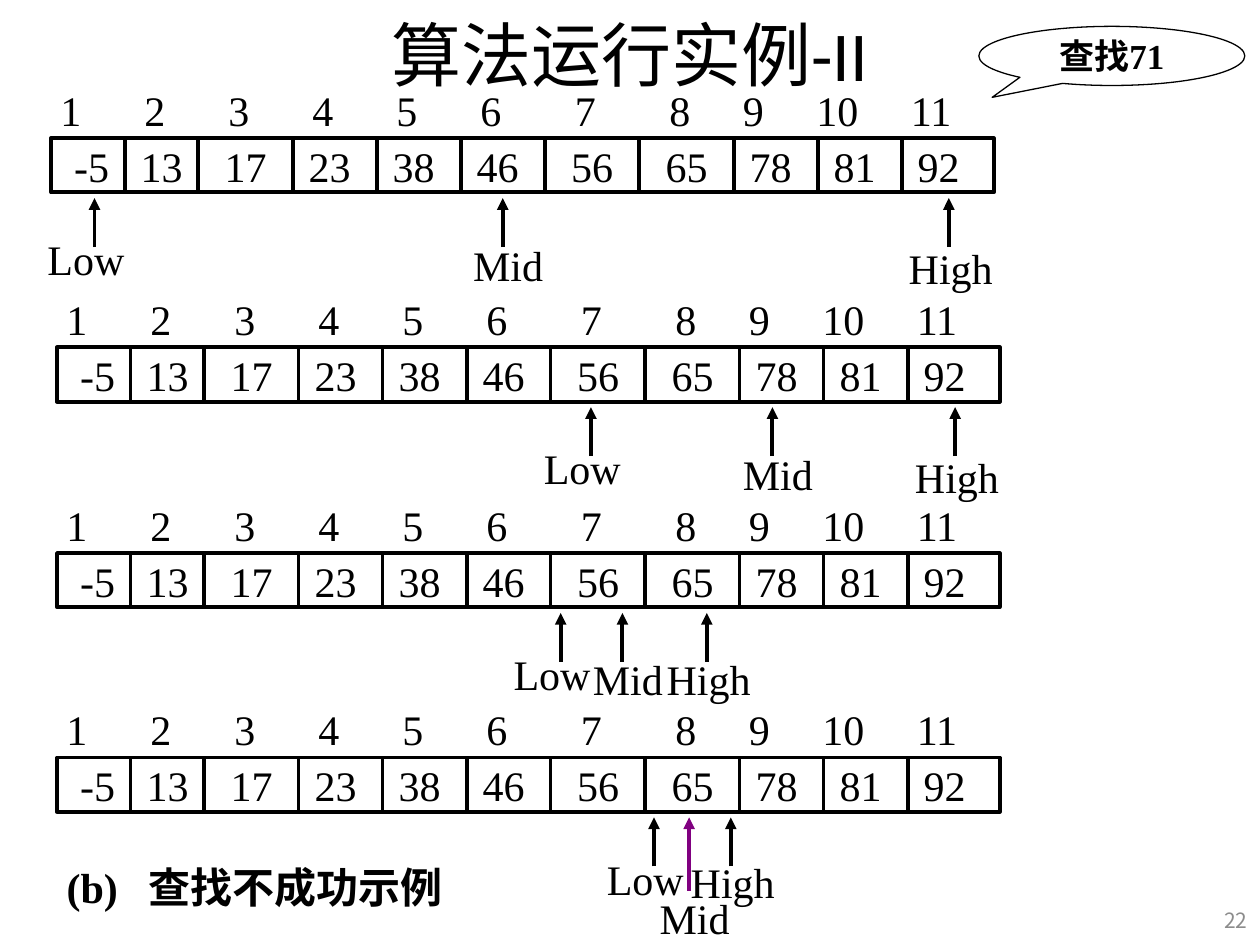
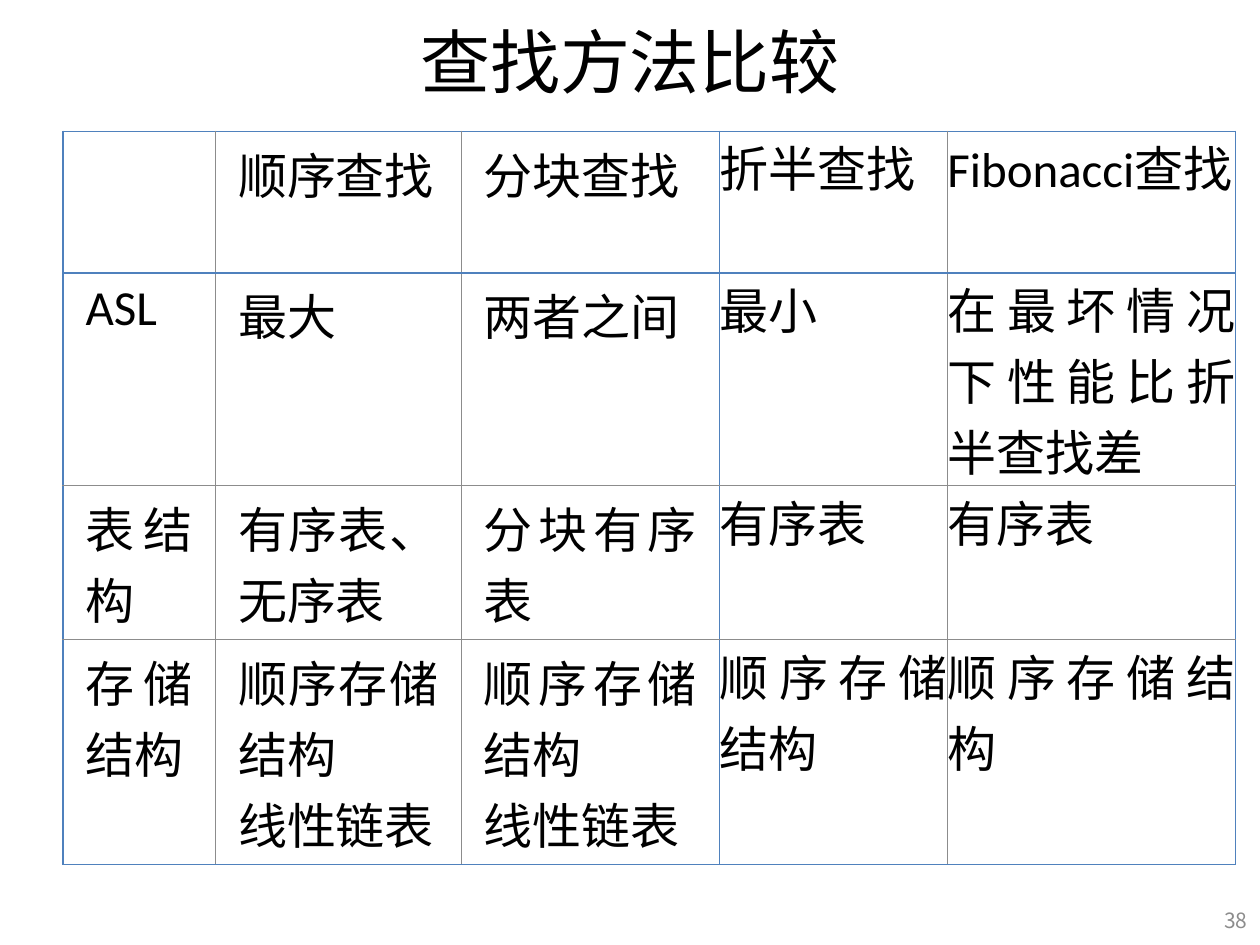
from itertools import accumulate

from lxml.etree import SubElement
from pptx import Presentation
from pptx.dml.color import RGBColor
from pptx.enum.shapes import MSO_CONNECTOR as Link, MSO_SHAPE as Shape
from pptx.enum.text import MSO_ANCHOR as Anchor, PP_ALIGN as Align
from pptx.oxml.ns import qn
from pptx.util import Pt

BLACK, GRAY, BLUE, PURPLE = "000000", "8C8C8C", "4F81BD", "800080"
SERIF, SANS, CJK = "Times New Roman", "Calibri", "Noto Sans CJK SC"
THICK = 2.25

SEARCH_TITLE = "算法运行实例-II"
SEARCH_TARGET = "查找71"
SEARCH_CAPTION = "(b)\t查找不成功示例"
KEYS = [-5, 13, 17, 23, 38, 46, 56, 65, 78, 81, 92]
KEY_TABS = [38, 86, 134, 182, 230, 284, 338, 386, 434, 482]
INDEX_TABS = [48, 96, 144, 192, 240, 294, 348, 390, 432, 486]
CELL_WIDTHS = [42, 42, 54, 48, 48, 48, 54, 54, 48, 48]
ARRAY_WIDTH, ARRAY_HEIGHT = 538.6, 31
LABEL_OFFSETS = {"Low": 34, "Mid": 24, "High": 30}
LABEL_WIDTH = 72

STEPS = [
    (29.2, 79, [("Low", 54, 55), ("Mid", 287.3, 58), ("High", 542.2, 60)]),
    (32.6, 198.5, [("Low", 337.7, 55), ("Mid", 441.4, 58), ("High", 545.8, 60)]),
    (32.6, 316.1, [("Low", 320.4, 55), ("Mid", 355.7, 57.6), ("High", 403.9, 57.6)]),
    (32.6, 432.9, [("Low", 373.7, 55), ("Mid", 393.8, 77.8, 42, PURPLE),
                   ("High", 417.6, 57)]),
]

METHODS_TITLE = "查找方法比较"
METHODS = [
    ["", "顺序查找", "分块查找", "折半查找", "Fibonacci查找"],
    ["ASL", "最大", "两者之间", "最小", "在最坏情况下性能比折半查找差"],
    ["表结构", "有序表、无序表", "分块有序表", "有序表", "有序表"],
    ["存储结构", "顺序存储结构\n线性链表", "顺序存储结构\n线性链表",
     "顺序存储结构", "顺序存储结构"],
]
METHOD_WIDTHS = [87.1, 140.4, 147.6, 130.3, 164.5]
METHOD_HEIGHTS = [81, 121.5, 88, 128.6]
PADDED_COLUMNS = 3


def color(hex_code):
    """Turn a hex string into a colour."""
    return RGBColor.from_string(hex_code)


def box(left, top, width, height):
    """Convert a rectangle in points to lengths."""
    return [Pt(value) for value in (left, top, width, height)]


def write(frame, text, size=24, font=SERIF, ink=BLACK, bold=False,
          align=Align.LEFT, tabs=()):
    """Fill a text frame, one paragraph for each line of text."""
    for number, line in enumerate(text.split("\n")):
        paragraph = frame.add_paragraph() if number else frame.paragraphs[0]
        paragraph.alignment = align
        if tabs:
            stops = SubElement(paragraph._p.get_or_add_pPr(), qn("a:tabLst"))
            for stop in tabs:
                SubElement(stops, qn("a:tab"), pos=str(Pt(stop)), algn="l")
        run = paragraph.add_run()
        run.text = line
        run.font.size, run.font.name, run.font.bold = Pt(size), font, bold
        run.font.color.rgb = color(ink)


def add_text(slide, place, text, **style):
    """Add a vertically centred text box."""
    frame = slide.shapes.add_textbox(*box(*place)).text_frame
    frame.word_wrap, frame.vertical_anchor = True, Anchor.MIDDLE
    write(frame, text, **style)


def add_outline(slide, kind, place, weight):
    """Add an unfilled black shape."""
    outline = slide.shapes.add_shape(kind, *box(*place))
    outline.shadow.inherit = False
    outline.fill.background()
    outline.line.color.rgb = color(BLACK)
    outline.line.width = Pt(weight)
    outline.text_frame.vertical_anchor = Anchor.MIDDLE
    return outline


def add_line(slide, x, start, end, ink=BLACK, arrow=False):
    """Add a vertical line, with an arrowhead at its end if asked."""
    line = slide.shapes.add_connector(Link.STRAIGHT, *box(x, start, x, end))
    line.line.color.rgb = color(ink)
    line.line.width = Pt(THICK)
    properties = line._element.spPr
    if arrow:
        SubElement(properties.find(qn("a:ln")), qn("a:tailEnd"), type="triangle")
    SubElement(properties, qn("a:effectLst"))


def add_slide(deck, title, title_height, number):
    """Add a slide with its title and page number."""
    slide = deck.slides.add_slide(deck.slide_layouts[5])
    heading = slide.shapes.title
    heading.left, heading.top, heading.width, heading.height = box(
        36, -2.2, 648, title_height)
    heading.text_frame.vertical_anchor = Anchor.MIDDLE
    write(heading.text_frame, title, size=40, font=SANS, align=Align.CENTER)
    add_text(slide, (689, 511.2, 31, 28.8), str(number), size=12,
             font=CJK, ink=GRAY, align=Align.RIGHT)
    return slide


def add_array(slide, left, top):
    """Draw the indexed array of keys."""
    array = add_outline(slide, Shape.RECTANGLE,
                        (left, top, ARRAY_WIDTH, ARRAY_HEIGHT), THICK)
    array.text_frame.margin_left = Pt(13.2)
    write(array.text_frame, "\t".join(map(str, KEYS)), tabs=KEY_TABS)
    for offset in accumulate(CELL_WIDTHS):
        add_line(slide, left + offset, top, top + ARRAY_HEIGHT)
    indices = "\t".join(str(i + 1) for i in range(len(KEYS)))
    add_text(slide, (left - 1.8, top - 30.2, ARRAY_WIDTH, 28), indices,
             tabs=INDEX_TABS)


def add_pointer(slide, top, label, x, drop, shaft=28, ink=BLACK):
    """Draw a labelled arrow that points up at the array."""
    tip = top + 34.2
    add_text(slide, (x - LABEL_OFFSETS[label], top + drop, LABEL_WIDTH, 28), label)
    add_line(slide, x, tip + shaft, tip, ink, arrow=True)


def build_search(deck):
    """Build the slide with the steps of the failed search."""
    slide = add_slide(deck, SEARCH_TITLE, 65.5, 22)
    target = add_outline(slide, Shape.OVAL_CALLOUT, (559.4, 15.1, 152, 33.8), 0.75)
    target.adjustments[0], target.adjustments[1] = -0.45, 0.7
    target.text_frame.word_wrap = False
    write(target.text_frame, SEARCH_TARGET, size=20, bold=True, align=Align.CENTER)
    for left, top, pointers in STEPS:
        add_array(slide, left, top)
        for pointer in pointers:
            add_pointer(slide, top, *pointer)
    add_text(slide, (31, 491, 280, 31), SEARCH_CAPTION, bold=True, tabs=[47])


def add_border(cell, side, strong):
    """Draw one side of a cell, blue if strong and thin gray if not."""
    line = SubElement(cell._tc.get_or_add_tcPr(), qn(f"a:ln{side}"),
                      w=str(Pt(1 if strong else 0.5)))
    fill = SubElement(line, qn("a:solidFill"))
    SubElement(fill, qn("a:srgbClr"), val=BLUE if strong else GRAY)


def build_methods(deck):
    """Build the slide that compares the search methods."""
    slide = add_slide(deck, METHODS_TITLE, 73.4, 38)
    last_row, last_column = len(METHODS) - 1, len(METHODS[0]) - 1
    table = slide.shapes.add_table(
        last_row + 1, last_column + 1,
        *box(36, 75, sum(METHOD_WIDTHS), sum(METHOD_HEIGHTS))).table
    table.first_row = table.horz_banding = False
    for column, width in zip(table.columns, METHOD_WIDTHS):
        column.width = Pt(width)
    for r, (row, height) in enumerate(zip(METHODS, METHOD_HEIGHTS)):
        table.rows[r].height = Pt(height)
        for c, text in enumerate(row):
            cell = table.cell(r, c)
            add_border(cell, "L", c in (0, PADDED_COLUMNS))
            add_border(cell, "R", c in (PADDED_COLUMNS - 1, last_column))
            add_border(cell, "T", r in (0, 1))
            add_border(cell, "B", r in (0, last_row))
            cell.fill.background()
            padded = c < PADDED_COLUMNS
            cell.margin_left = cell.margin_right = Pt(13 if padded else 0)
            cell.margin_top = cell.margin_bottom = Pt(3.6 if padded else 0)
            if text:
                write(cell.text_frame, text, size=28, font=SANS,
                      align=Align.JUSTIFY)


def main():
    """Build and save the deck."""
    deck = Presentation()
    deck.slide_width, deck.slide_height = Pt(720), Pt(540)
    build_search(deck)
    build_methods(deck)
    deck.save("out.pptx")


if __name__ == "__main__":
    main()
